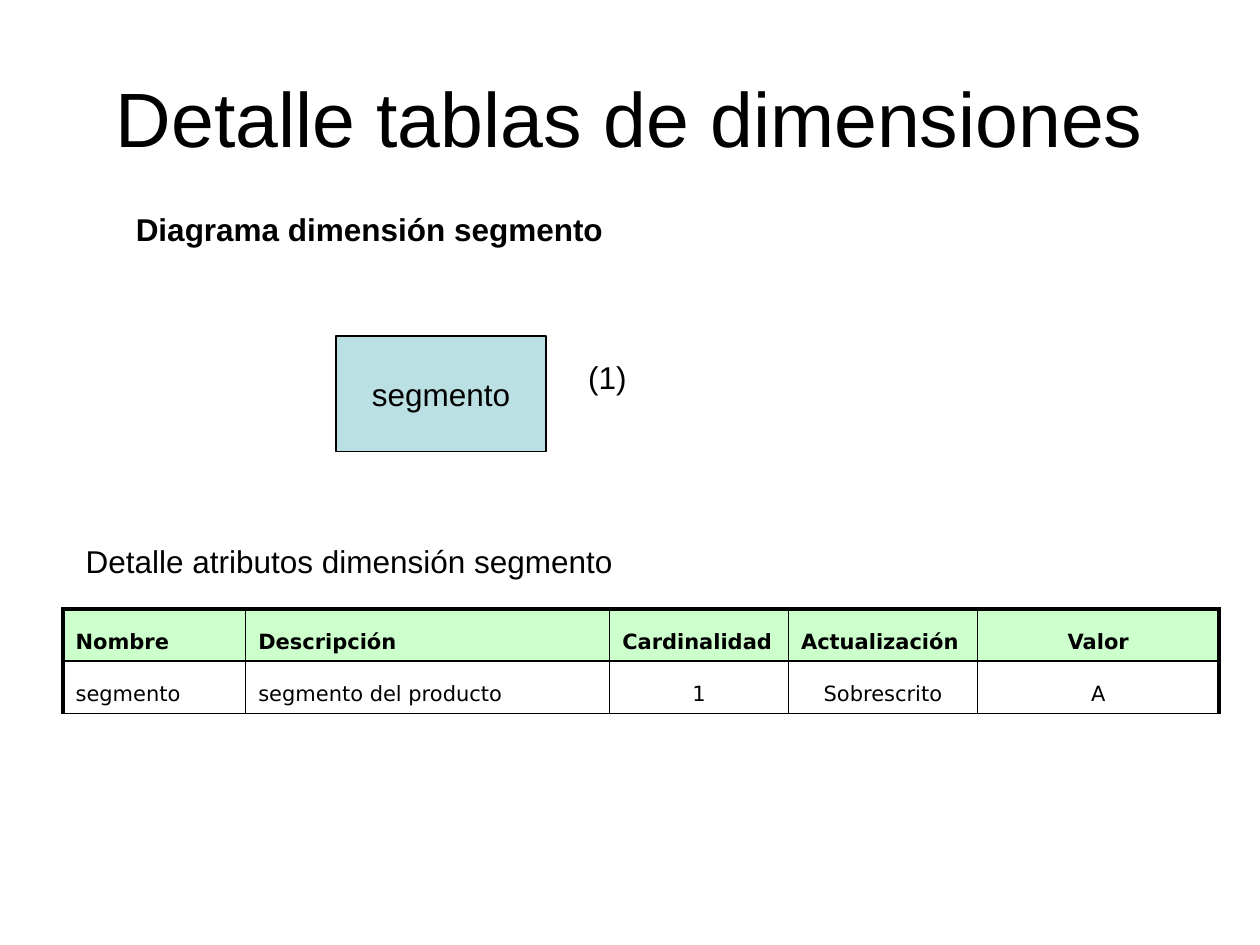
import pptx
import pptx.util
import pptx.dml.color
import pptx.enum.shapes
import pptx.enum.text
import lxml.etree
import pptx.oxml.ns

Pt = pptx.util.Pt
RGBColor = pptx.dml.color.RGBColor
ALIGN = pptx.enum.text.PP_ALIGN
ANCHOR = pptx.enum.text.MSO_ANCHOR

BLACK = RGBColor(0x00, 0x00, 0x00)
PALE_BLUE = RGBColor(0xBB, 0xE0, 0xE3)
PALE_GREEN = RGBColor(0xCC, 0xFF, 0xCC)

# Content: text, (left, top, width, height), size, bold
TITLE = ("Detalle tablas de dimensiones", (36, 21.6, 648, 90), 44, False)
LABELS = [
    ("Diagrama dimensión segmento", (70.5, 116.6, 281.5, 28.8), 18, True),
    ("(1)", (329, 200.9, 36.7, 28.8), 18, False),
    ("Detalle atributos dimensión segmento", (41.8, 306, 315.4, 28.8), 18, False),
]
ENTITY = ("segmento", (192, 192, 120, 66))

ROWS = [
    ["Nombre", "Descripción", "Cardinalidad", "Actualización", "Valor"],
    ["segmento", "segmento del producto", "1", "Sobrescrito", "A"],
]
CENTERED_FROM = [4, 2]  # first centred column of each row
COLUMN_WIDTHS = [104.4, 208, 102.2, 108, 138]
ROW_HEIGHT = 29.8
TABLE_LEFT, TABLE_TOP = 36, 348
HANGING_INDENT = 27


def write(frame, text, font_name, size, bold=False, align=ALIGN.LEFT):
    para = frame.paragraphs[0]
    para.text = text
    para.alignment = align
    font = para.font
    font.name, font.size, font.bold = font_name, Pt(size), bold
    font.color.rgb = BLACK
    return para


def add_label(page, text, place, size, bold):
    box = page.shapes.add_textbox(*map(Pt, place))
    box.text_frame.word_wrap = False
    box.text_frame.auto_size = pptx.enum.text.MSO_AUTO_SIZE.SHAPE_TO_FIT_TEXT
    write(box.text_frame, text, "Arial", size, bold)


def add_border(cell, side, width):
    properties = cell._tc.get_or_add_tcPr()
    qn = pptx.oxml.ns.qn
    line = lxml.etree.SubElement(properties, qn(f"a:ln{side}"), w=str(Pt(width)))
    fill = lxml.etree.SubElement(line, qn("a:solidFill"))
    lxml.etree.SubElement(fill, qn("a:srgbClr"), val=str(BLACK))


def add_attribute_table(page):
    table = page.shapes.add_table(
        len(ROWS), len(COLUMN_WIDTHS), Pt(TABLE_LEFT), Pt(TABLE_TOP),
        Pt(sum(COLUMN_WIDTHS)), Pt(ROW_HEIGHT * len(ROWS))).table
    table.first_row = table.horz_banding = False
    for column, width in zip(table.columns, COLUMN_WIDTHS):
        column.width = Pt(width)
    last = len(COLUMN_WIDTHS) - 1
    for r, texts in enumerate(ROWS):
        table.rows[r].height = Pt(ROW_HEIGHT)
        for c, text in enumerate(texts):
            cell = table.cell(r, c)
            cell.vertical_anchor = ANCHOR.BOTTOM
            align = ALIGN.CENTER if c >= CENTERED_FROM[r] else ALIGN.LEFT
            para = write(cell.text_frame, text, "DejaVu Sans", 12, r == 0, align)
            indent = para._p.get_or_add_pPr()
            indent.set("marL", str(Pt(HANGING_INDENT)))
            indent.set("indent", str(-Pt(HANGING_INDENT)))
            # Heavier frame on the left, right and top edges
            heavy = {"L": c == 0, "R": c == last, "T": r == 0, "B": False}
            for side, is_heavy in heavy.items():
                add_border(cell, side, 2 if is_heavy else 1)
            if r == 0:
                cell.fill.solid()
                cell.fill.fore_color.rgb = PALE_GREEN
            else:
                cell.fill.background()


def main():
    deck = pptx.Presentation()
    deck.slide_width, deck.slide_height = Pt(720), Pt(540)
    page = deck.slides.add_slide(deck.slide_layouts[6])

    # Title
    text, place, size, bold = TITLE
    title = page.shapes.add_textbox(*map(Pt, place))
    title.text_frame.word_wrap = True
    title.text_frame.vertical_anchor = ANCHOR.MIDDLE
    write(title.text_frame, text, "Arial", size, bold, ALIGN.CENTER)

    # Dimension diagram
    text, place = ENTITY
    entity = page.shapes.add_shape(
        pptx.enum.shapes.MSO_SHAPE.RECTANGLE, *map(Pt, place))
    entity.shadow.inherit = False
    entity.fill.solid()
    entity.fill.fore_color.rgb = PALE_BLUE
    entity.line.color.rgb = BLACK
    entity.line.width = Pt(0.75)
    entity.text_frame.word_wrap = False
    entity.text_frame.vertical_anchor = ANCHOR.MIDDLE
    write(entity.text_frame, text, "Arial", 18, align=ALIGN.CENTER)

    # Attribute table and labels
    add_attribute_table(page)
    for label in LABELS:
        add_label(page, *label)

    deck.save("out.pptx")


if __name__ == "__main__":
    main()
